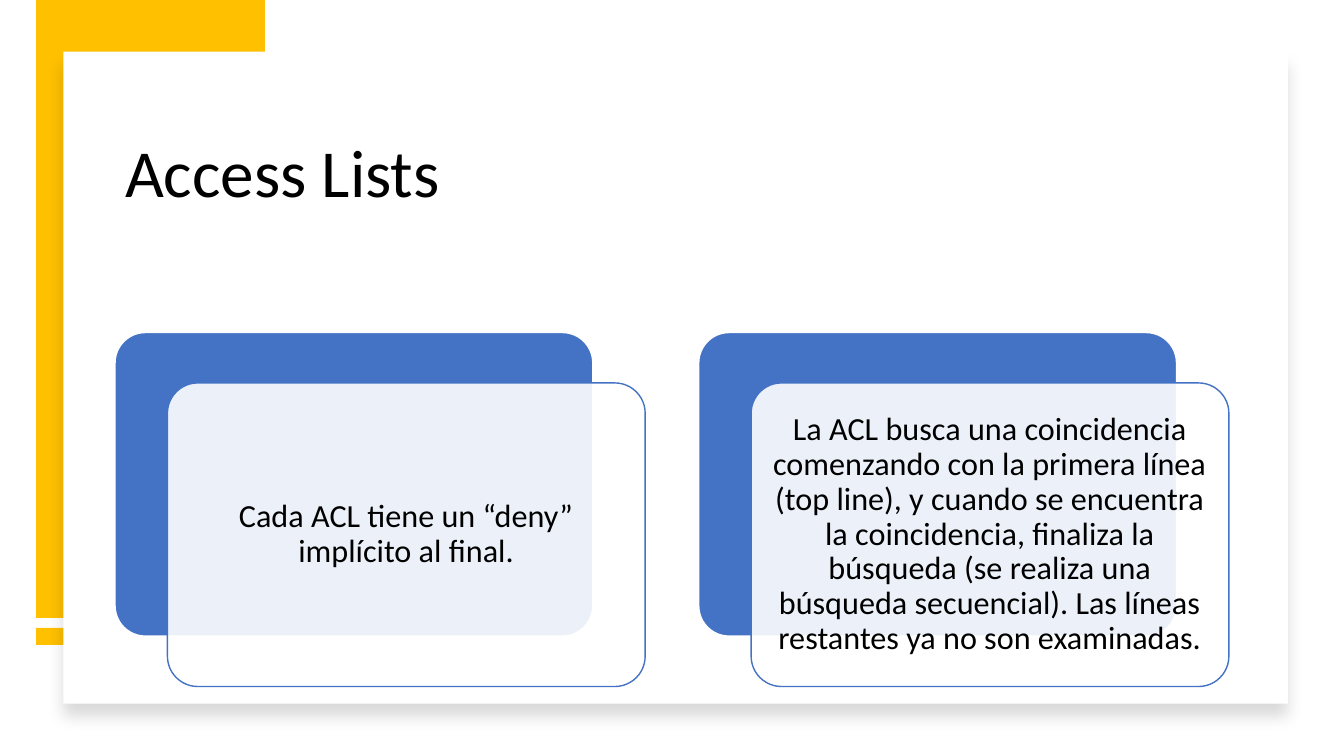
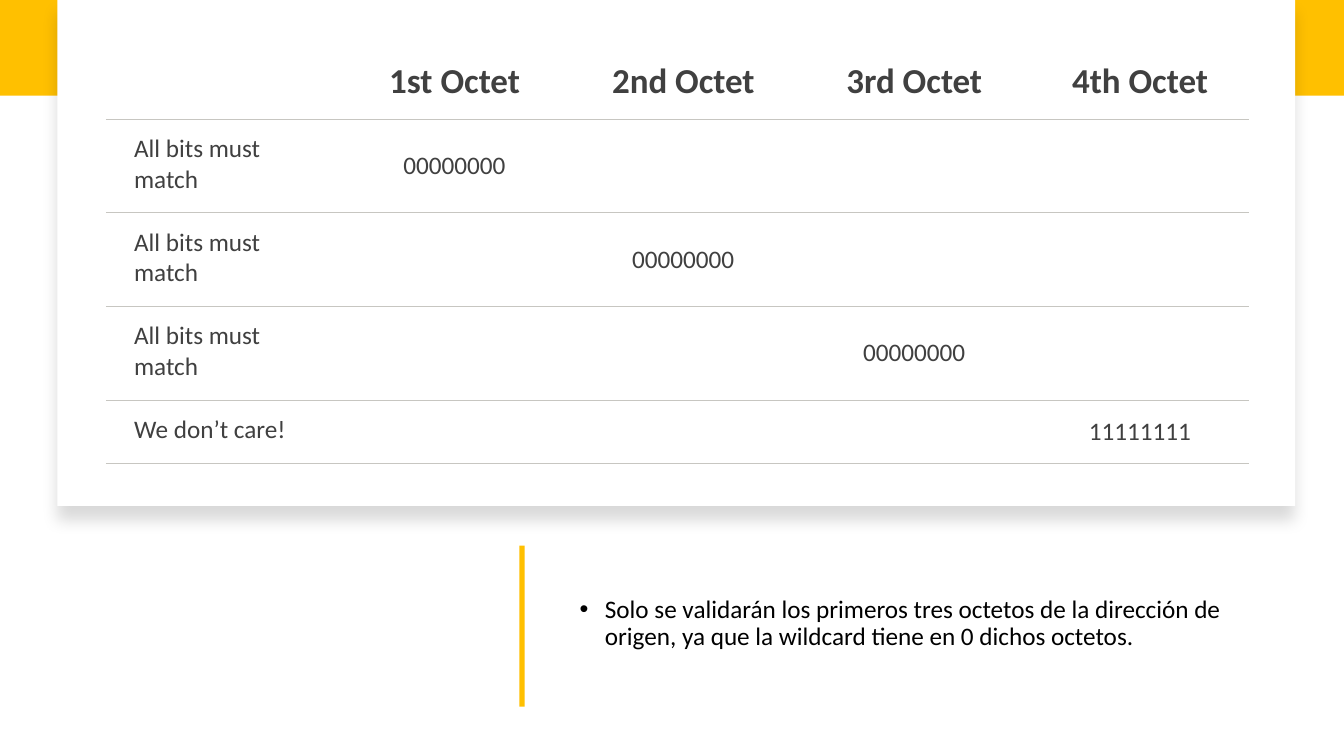
from lxml import etree
from pptx import Presentation
from pptx.dml.color import RGBColor
from pptx.enum.shapes import MSO_SHAPE
from pptx.enum.text import MSO_ANCHOR, MSO_AUTO_SIZE, PP_ALIGN
from pptx.oxml import parse_xml
from pptx.oxml.ns import nsdecls, qn
from pptx.util import Cm, Pt

YELLOW, BLUE, WHITE, BLACK = "FFC000", "4472C4", "FFFFFF", "000000"
GREY, RULE = "404040", "C7C6C1"
FONT = "Calibri"

TITLE = "Access Lists"
CARDS = [
    "Cada ACL tiene un “deny” implícito al final.",
    "La ACL busca una coincidencia comenzando con la primera línea (top line), "
    "y cuando se encuentra la coincidencia, finaliza la búsqueda (se realiza una "
    "búsqueda secuencial). Las líneas restantes ya no son examinadas.",
]
OCTETS = [
    ["", "1st Octet", "2nd Octet", "3rd Octet", "4th Octet"],
    ["All bits must match", "00000000", "", "", ""],
    ["All bits must match", "", "00000000", "", ""],
    ["All bits must match", "", "", "00000000", ""],
    ["We don’t care!", "", "", "", "11111111"],
]
COL_WIDTHS = [5.89, 5.61, 5.92, 5.72, 5.66]
ROW_HEIGHTS = [1.88, 2.36, 2.36, 2.36, 1.6]
NOTE = ("Solo se validarán los primeros tres octetos de la dirección de origen, "
        "ya que la wildcard tiene en 0 dichos octetos.")


def rgb(color):
    return RGBColor.from_string(color)


def set_attrs(obj, **values):
    for name, value in values.items():
        setattr(obj, name, value)


def place(sp, x, y, w, h):
    set_attrs(sp, left=Cm(x), top=Cm(y), width=Cm(w), height=Cm(h))


def add_box(s, x, y, w, h, fill, line=None, kind=MSO_SHAPE.RECTANGLE):
    sp = s.shapes.add_shape(kind, Cm(x), Cm(y), Cm(w), Cm(h))
    sp.shadow.inherit = False
    sp.fill.solid()
    sp.fill.fore_color.rgb = rgb(fill)
    if line:
        sp.line.color.rgb = rgb(line)
        sp.line.width = Pt(1)
    else:
        sp.line.fill.background()
    return sp


def add_panel(s, x, y, w, h):
    """White sheet with a soft shadow below it."""
    effects = add_box(s, x, y, w, h, WHITE)._element.spPr.find(qn("a:effectLst"))
    effects.append(parse_xml(
        f'<a:outerShdw {nsdecls("a")} blurRad="{Pt(11)}" dist="{Pt(10)}" dir="5400000" '
        'algn="t" rotWithShape="0"><a:srgbClr val="000000"><a:alpha val="15000"/>'
        '</a:srgbClr></a:outerShdw>'))


def write(tf, text, size, color=BLACK, bold=False, align=PP_ALIGN.LEFT, spacing=0.9):
    tf.word_wrap = True
    p = tf.paragraphs[0]
    set_attrs(p, alignment=align, line_spacing=spacing, space_before=Pt(0))
    r = p.add_run()
    r.text = text
    set_attrs(r.font, name=FONT, size=Pt(size), bold=bold)
    r.font.color.rgb = rgb(color)


def add_card(s, x, y, text):
    """Blue card with a translucent text card shifted over it."""
    w, h, dx, dy = 12.04, 7.65, 1.32, 1.27
    back = add_box(s, x, y, w, h, BLUE, WHITE, MSO_SHAPE.ROUNDED_RECTANGLE)
    front = add_box(s, x + dx, y + dy, w, h, WHITE, BLUE, MSO_SHAPE.ROUNDED_RECTANGLE)
    for sp in (back, front):
        sp.adjustments[0] = 0.1
    color = front._element.spPr.find(qn("a:solidFill"))[0]
    etree.SubElement(color, qn("a:alpha"), val="90000")
    tf = front.text_frame
    set_attrs(tf, vertical_anchor=MSO_ANCHOR.MIDDLE, margin_left=Cm(0.25),
              margin_right=Cm(0.25), margin_top=Cm(0.25), margin_bottom=Cm(0.25))
    write(tf, text, 23, align=PP_ALIGN.CENTER)


def add_octet_table(s, x, y):
    frame = s.shapes.add_table(len(OCTETS), len(COL_WIDTHS), Cm(x), Cm(y),
                               Cm(sum(COL_WIDTHS)), Cm(sum(ROW_HEIGHTS)))
    table = frame.table
    set_attrs(table, first_row=False, horz_banding=False)
    for column, width in zip(table.columns, COL_WIDTHS):
        column.width = Cm(width)
    for i, (row, height) in enumerate(zip(table.rows, ROW_HEIGHTS)):
        row.height = Cm(height)
        for j, (cell, text) in enumerate(zip(row.cells, OCTETS[i])):
            label = i > 0 and j == 0
            set_attrs(cell, margin_left=Cm(0.71), margin_right=Cm(0.53),
                      margin_top=Cm(0.36), margin_bottom=Cm(0.36),
                      vertical_anchor=MSO_ANCHOR.TOP if label else MSO_ANCHOR.MIDDLE)
            cell.fill.background()
            rule_cell(cell, i > 0)
            if text:
                write(cell.text_frame, text, 18 if i else 25, GREY, i == 0,
                      PP_ALIGN.LEFT if label else PP_ALIGN.CENTER, 1.0)


def rule_cell(cell, top):
    """Thin lines above and below a cell, none at its sides."""
    visible = {"lnL": False, "lnR": False, "lnT": top, "lnB": True}
    for n, (side, shown) in enumerate(visible.items()):
        fill = (f'<a:solidFill><a:srgbClr val="{RULE}"/></a:solidFill>'
                if shown else '<a:noFill/>')
        cell._tc.get_or_add_tcPr().insert(n, parse_xml(
            f'<a:{side} {nsdecls("a")} w="{Pt(0.75)}">{fill}</a:{side}>'))


def build_access_lists(prs):
    s = prs.slides.add_slide(prs.slide_layouts[5])
    for y, h in ((0, 15.57), (15.82, 0.43)):
        add_box(s, 0.91, y, 5.77, h, YELLOW)
    add_panel(s, 1.6, 1.3, 30.86, 16.43)
    title = s.shapes.title
    place(title, 2.9, 2.26, 28.27, 4.32)
    s.shapes._spTree.append(title._element)
    set_attrs(title.text_frame, vertical_anchor=MSO_ANCHOR.MIDDLE,
              auto_size=MSO_AUTO_SIZE.NONE)
    write(title.text_frame, TITLE, 48)
    for i, text in enumerate(CARDS):
        add_card(s, 2.9 + 14.71 * i, 8.38, text)


def build_wildcard(prs):
    s = prs.slides.add_slide(prs.slide_layouts[1])
    title, body = s.placeholders
    title._element.getparent().remove(title._element)
    add_box(s, 0, 0, 33.87, 2.41, YELLOW)
    add_panel(s, 1.45, 0, 31.19, 12.75)
    add_box(s, 13.09, 13.75, 0.13, 4.06, YELLOW)
    place(body, 14.35, 13.56, 18.29, 4.32)
    s.shapes._spTree.append(body._element)
    tf = body.text_frame
    set_attrs(tf, vertical_anchor=MSO_ANCHOR.MIDDLE, auto_size=MSO_AUTO_SIZE.NONE)
    pPr = tf.paragraphs[0]._p.get_or_add_pPr()
    pPr.set("marL", str(Cm(0.64)))
    pPr.set("indent", str(-Cm(0.64)))
    etree.SubElement(pPr, qn("a:buFont"), typeface="Arial")
    etree.SubElement(pPr, qn("a:buChar"), char="•")
    write(tf, NOTE, 18)
    add_octet_table(s, 2.67, 1.12)


def main():
    prs = Presentation()
    set_attrs(prs, slide_width=Cm(33.87), slide_height=Cm(19.05))
    build_access_lists(prs)
    build_wildcard(prs)
    prs.save("out.pptx")


if __name__ == "__main__":
    main()
